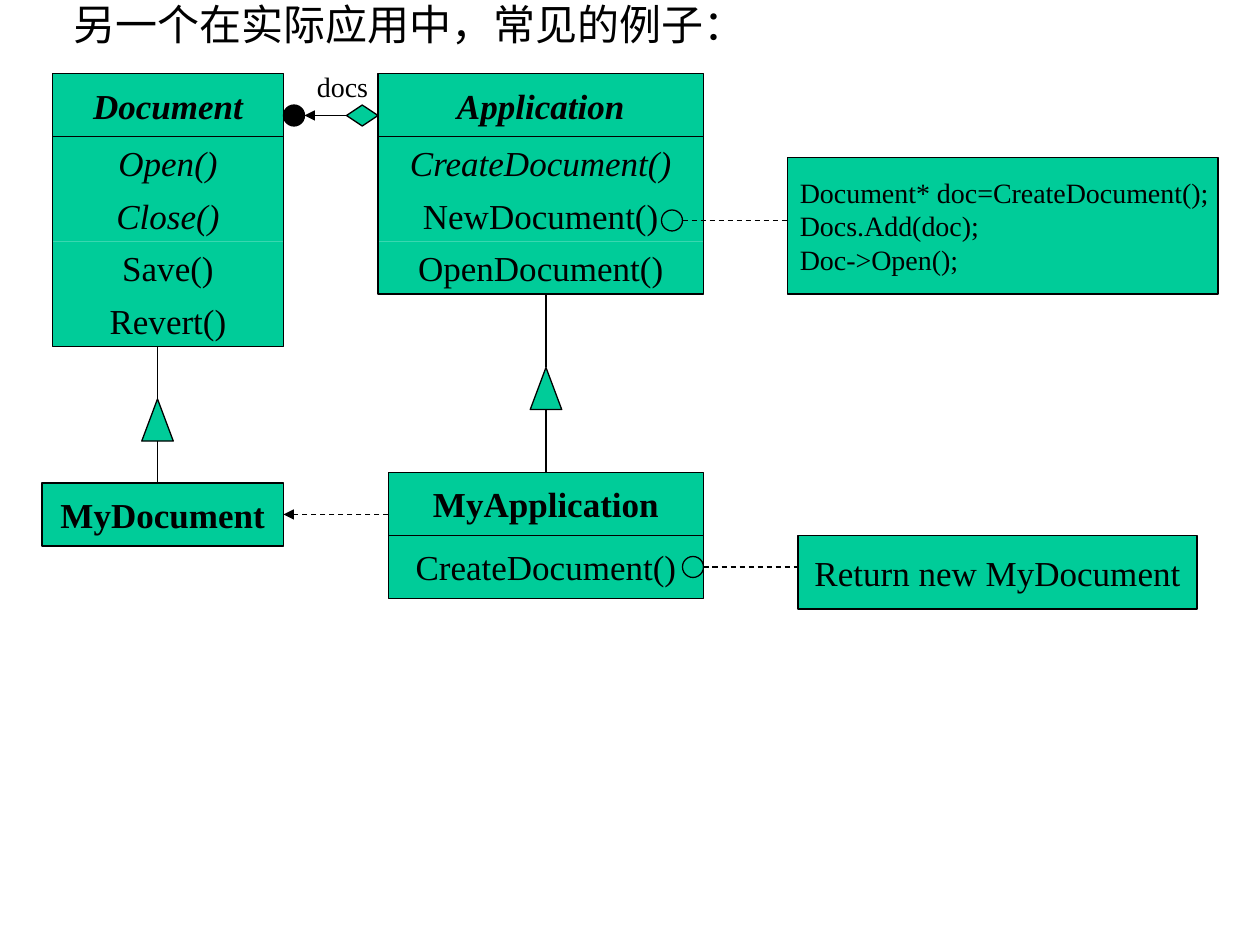
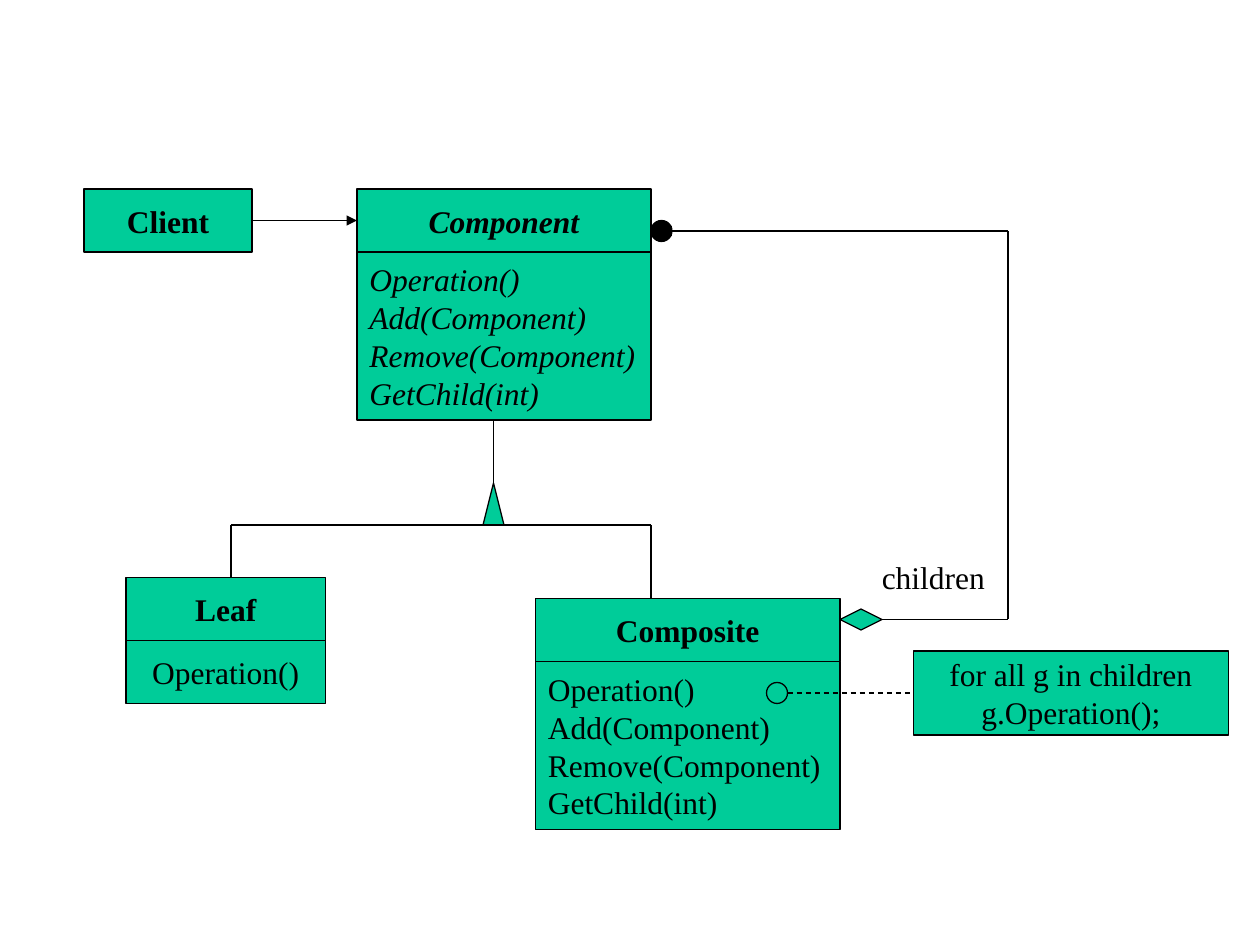
from lxml import etree
from pptx import Presentation
from pptx.dml.color import RGBColor
from pptx.enum.dml import MSO_LINE
from pptx.enum.shapes import MSO_CONNECTOR, MSO_SHAPE
from pptx.enum.text import MSO_ANCHOR, MSO_AUTO_SIZE, PP_ALIGN
from pptx.oxml.ns import qn
from pptx.util import Cm, Pt

RECTANGLE = MSO_SHAPE.RECTANGLE
OVAL = MSO_SHAPE.OVAL
DIAMOND = MSO_SHAPE.DIAMOND
TRIANGLE = MSO_SHAPE.ISOSCELES_TRIANGLE
STRAIGHT = MSO_CONNECTOR.STRAIGHT
DASH = MSO_LINE.DASH
MIDDLE = MSO_ANCHOR.MIDDLE
FIT_TEXT = MSO_AUTO_SIZE.SHAPE_TO_FIT_TEXT
LEFT, CENTER = PP_ALIGN.LEFT, PP_ALIGN.CENTER

GREEN, BLACK = "00CC99", "000000"
FONT = "Times New Roman"
LINE_WIDTH = Pt(0.75)
GRID = 2.54 / 12  # every diagram position counts twelfths of an inch
HEADER_HEIGHT = 6
ROW_HEIGHT = 5


def add_item(slide, kind, bounds, text="", size=18, style="", align=CENTER,
             fill=GREEN, outline=True):
    """Add a preset shape, or a text box when kind is None; style holds b and i."""
    position = [Cm(GRID * value) for value in bounds]
    if kind is None:
        shape = slide.shapes.add_textbox(*position)
    else:
        shape = slide.shapes.add_shape(kind, *position)
        shape.shadow.inherit = False
        if fill:
            shape.fill.solid()
            shape.fill.fore_color.rgb = RGBColor.from_string(fill)
        else:
            shape.fill.background()
        if outline:
            shape.line.color.rgb = RGBColor.from_string(BLACK)
            shape.line.width = LINE_WIDTH
        else:
            shape.line.fill.background()
    if not text:
        return
    text_frame = shape.text_frame
    text_frame.text = text
    text_frame.word_wrap = False
    if kind is None:
        text_frame.auto_size = FIT_TEXT
    else:
        text_frame.vertical_anchor = MIDDLE
    for paragraph in text_frame.paragraphs:
        paragraph.alignment = align
        for run in paragraph.runs:
            run.font.name = FONT
            run.font.size = Pt(size)
            run.font.bold = "b" in style
            run.font.italic = "i" in style
            run.font.color.rgb = RGBColor.from_string(BLACK)


def add_line(slide, ends, dash=None, arrow=False):
    connector = slide.shapes.add_connector(
        STRAIGHT, *[Cm(GRID * value) for value in ends])
    connector.line.color.rgb = RGBColor.from_string(BLACK)
    connector.line.width = LINE_WIDTH
    if dash:
        connector.line.dash_style = dash
    if arrow:
        line_element = connector._element.spPr.find(qn("a:ln"))
        etree.SubElement(line_element, qn("a:tailEnd"), type="triangle")
    etree.SubElement(connector._element.spPr, qn("a:effectLst"))


presentation = Presentation()
presentation.slide_width = Cm(25.4)
presentation.slide_height = Cm(19.05)
blank_layout = presentation.slide_layouts[6]

# Slide 1: documents and applications
slide = presentation.slides.add_slide(blank_layout)

abstract_classes = [
    (5, 22, "Document",
     [("Open()", "i"), ("Close()", "i"), ("Save()", ""), ("Revert()", "")]),
    (36, 31, "Application",
     [("CreateDocument()", "i"), ("NewDocument()", ""), ("OpenDocument()", "")]),
]
for left, width, name, methods in abstract_classes:
    top = 7
    add_item(slide, RECTANGLE, (left, top, width, HEADER_HEIGHT), name, 20, "bi")
    top += HEADER_HEIGHT
    for row, (method, style) in enumerate(methods):
        add_item(slide, RECTANGLE, (left, top + row * ROW_HEIGHT, width, ROW_HEIGHT),
                 method, 20, style, outline=False)
    add_item(slide, RECTANGLE, (left, top, width, ROW_HEIGHT * len(methods)), fill=None)

for bounds, text, style in [
    ((4, 46, 23, 6), "MyDocument", "b"),
    ((37, 45, 30, 6), "MyApplication", "b"),
    ((37, 51, 30, 6), "CreateDocument()", ""),
    ((76, 51, 38, 7), "Return new MyDocument", ""),
]:
    add_item(slide, RECTANGLE, bounds, text, 20, style)
add_item(slide, RECTANGLE, (75, 15, 41, 13),
         "Document* doc=CreateDocument();\nDocs.Add(doc);\nDoc->Open();", 16, align=LEFT)

for kind, bounds, fill in [
    (OVAL, (63, 20, 2, 2), GREEN),
    (OVAL, (65, 53, 2, 2), GREEN),
    (OVAL, (27, 10, 2, 2), BLACK),
    (DIAMOND, (33, 10, 3, 2), GREEN),
]:
    add_item(slide, kind, bounds, fill=fill)

# Inheritance: parent bottom, triangle top, child top
for center, parent, tip, child in [(15, 33, 38, 46), (52, 28, 35, 45)]:
    add_line(slide, (center, parent, center, tip))
    add_item(slide, TRIANGLE, (center - 1.5, tip, 3, 4))
    add_line(slide, (center, tip + 4, center, child))

add_line(slide, (65, 21, 75, 21), DASH)
add_line(slide, (67, 54, 76, 54), DASH)
add_line(slide, (37, 49, 27, 49), DASH, arrow=True)
add_line(slide, (33, 11, 29, 11), arrow=True)

add_item(slide, None, (29, 6, 7.5, 4.4), "docs", 16, align=LEFT)
add_item(slide, None, (5.8, -0.7, 66.4, 6), "另一个在实际应用中，常见的例子：", 24, align=LEFT)

# Slide 2: composite structure
slide = presentation.slides.add_slide(blank_layout)

operations = "Operation()\nAdd(Component)\nRemove(Component)\nGetChild(int)"
for left, top, width, name, name_style, body, body_height, body_style, align in [
    (8, 18, 16, "Client", "b", "", 0, "", CENTER),
    (34, 18, 28, "Component", "bi", operations, 16, "i", LEFT),
    (12, 55, 19, "Leaf", "b", "Operation()", 6, "", CENTER),
    (51, 57, 29, "Composite", "b", operations, 16, "", LEFT),
]:
    add_item(slide, RECTANGLE, (left, top, width, HEADER_HEIGHT), name, style=name_style)
    if body:
        add_item(slide, RECTANGLE, (left, top + HEADER_HEIGHT, width, body_height),
                 body, style=body_style, align=align)
add_item(slide, RECTANGLE, (87, 62, 30, 8), "for all g in children\ng.Operation();")

for kind, bounds, fill in [
    (TRIANGLE, (46, 46, 2, 4), GREEN),
    (OVAL, (73, 65, 2, 2), GREEN),
    (DIAMOND, (80, 58, 4, 2), GREEN),
    (OVAL, (62, 21, 2, 2), BLACK),
]:
    add_item(slide, kind, bounds, fill=fill)

for ends in [
    (47, 40, 47, 46),  # Component to triangle
    (22, 50, 62, 50),
    (22, 50, 22, 55),
    (62, 50, 62, 57),
    (84, 59, 96, 59),  # Composite back to Component
    (96, 59, 96, 22),
]:
    add_line(slide, ends)
add_line(slide, (96, 22, 63, 22), arrow=True)
add_line(slide, (24, 21, 34, 21), arrow=True)
add_line(slide, (75, 66, 87, 66), DASH)

add_item(slide, None, (82.8, 52.6, 12.2, 4.8), "children", align=LEFT)

presentation.save("out.pptx")
